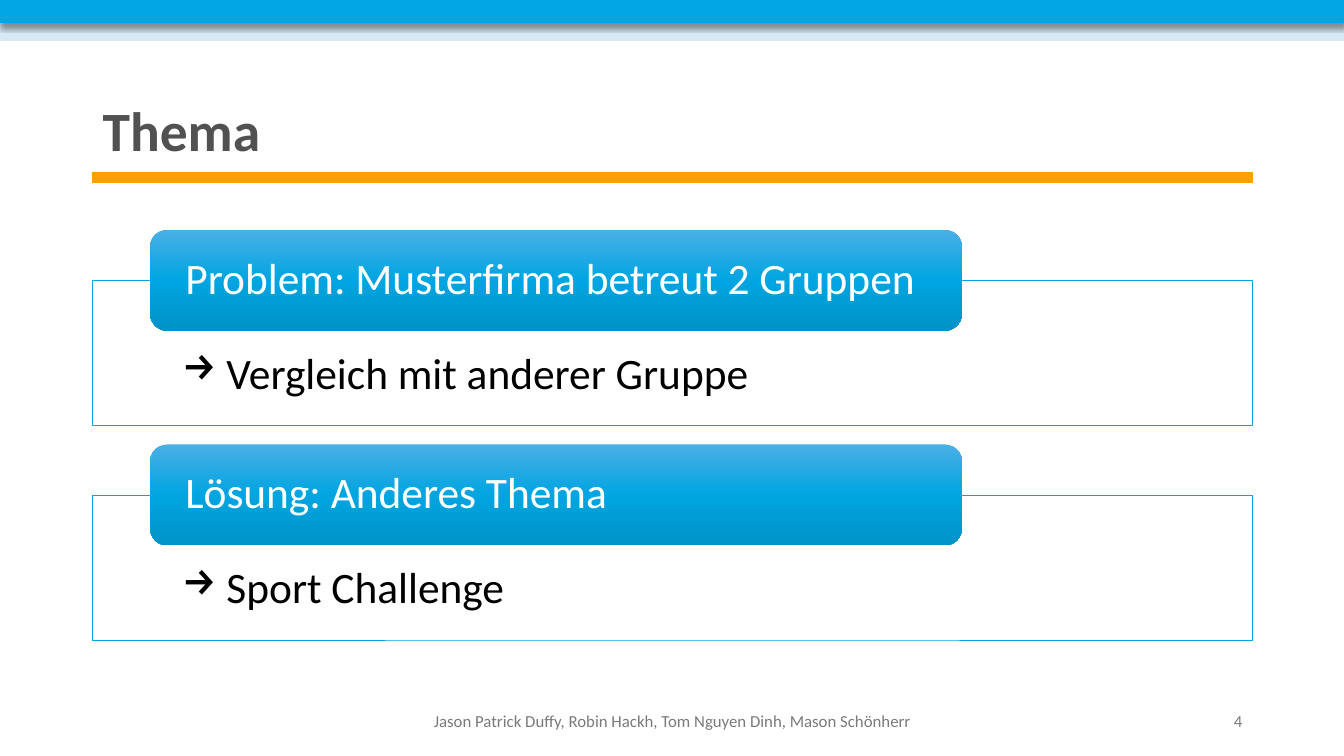
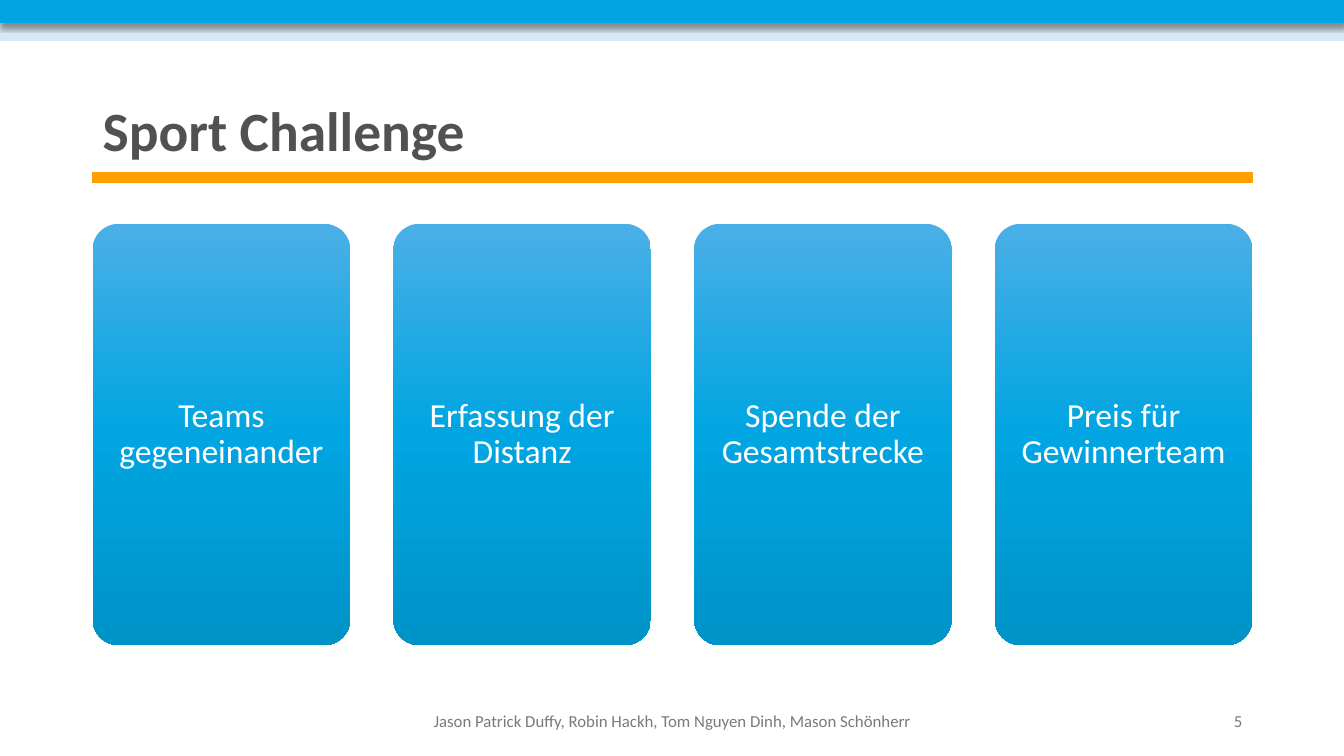
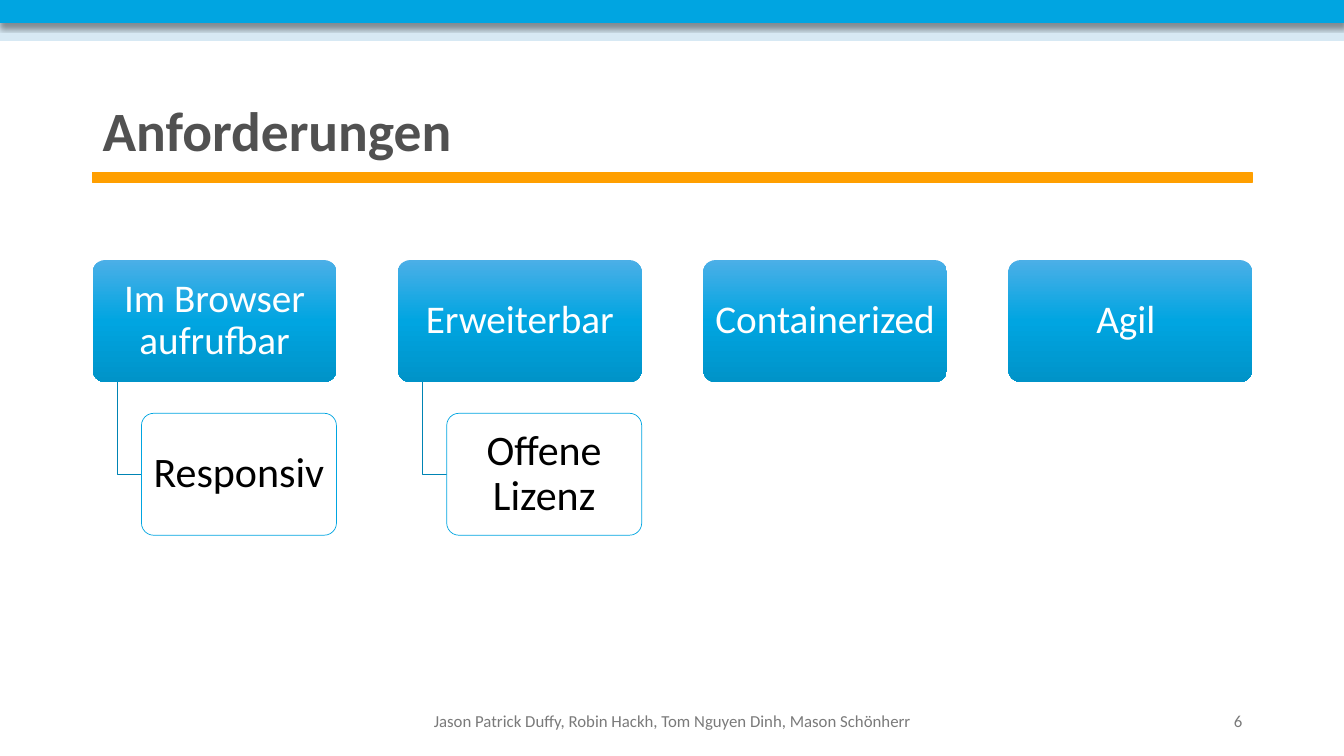
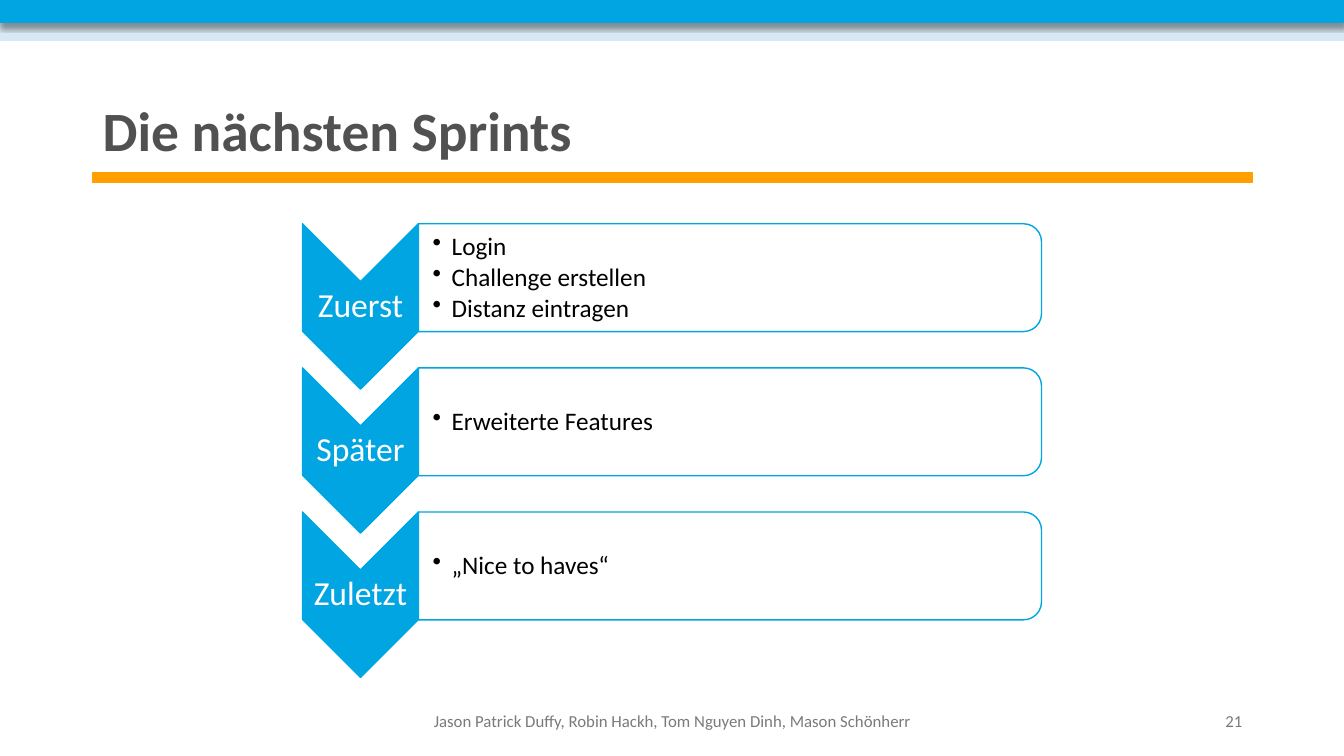
"""Build four project slides: topic, sport challenge, requirements and next sprints."""
from copy import deepcopy
from dataclasses import dataclass

from lxml import etree
from pptx import Presentation
from pptx import util as u
from pptx.dml import color
from pptx.enum import shapes, text
from pptx.oxml import ns

KIND = shapes.MSO_SHAPE
ALIGN = text.PP_ALIGN
ANCHOR = text.MSO_ANCHOR


@dataclass(frozen=True)
class Theme:
    font: str = "Calibri"
    blue: str = "00A5E1"
    edge: str = "0084B4"
    pale: str = "D7E9F4"
    orange: str = "FF9F00"
    heading: str = "515151"
    muted: str = "7A7A7A"
    black: str = "000000"
    white: str = "FFFFFF"
    gradient: tuple = ("4BAFE7", "00A5E1", "0093C8")
    title_size: float = 39.6
    footer_size: float = 12
    topic_size: float = 31
    child_size: float = 30
    parent_size: float = 28
    card_size: float = 24
    list_size: float = 18


THEME = Theme()
WIDTH, HEIGHT = 13.33, 7.5
MARGIN, CONTENT = 0.92, 11.5
AUTHORS = "Jason Patrick Duffy, Robin Hackh, Tom Nguyen Dinh, Mason Schönherr"


def columns(count, gap):
    width = (CONTENT - (count - 1) * gap) / count
    return [MARGIN + i * (width + gap) for i in range(count)], width


def inches(box):
    return [u.Inches(length) for length in box]


def rgb(value):
    return color.RGBColor.from_string(value)


def add_xml(parent, tag, **attributes):
    return etree.SubElement(parent, ns.qn(tag), attributes)


def outline(shape, hue, width):
    shape.line.color.rgb = rgb(hue)
    shape.line.width = u.Pt(width)


def add_block(slide, kind, box, fill, line_width=1, line=None, turned=False):
    left, top, width, height = box
    if turned:
        left, top = left + (width - height) / 2, top + (height - width) / 2
        width, height = height, width
    block = slide.shapes.add_shape(kind, *inches((left, top, width, height)))
    block.rotation = 90 if turned else 0
    block.shadow.inherit = False
    block.fill.solid()
    block.fill.fore_color.rgb = rgb(fill)
    outline(block, line or fill, line_width)
    return block


def add_panel(slide, kind, box, line_width=0.5, turned=False):
    panel = add_block(slide, kind, box, THEME.white, line_width, THEME.blue, turned)
    white = panel.element.spPr.find(".//" + ns.qn("a:srgbClr"))
    add_xml(white, "a:alpha", val="90000")
    return panel


def add_gradient_card(slide, box, corner=0.1):
    card = add_block(slide, KIND.ROUNDED_RECTANGLE, box, THEME.blue)
    card.adjustments[0] = corner
    card.line.fill.background()
    card.fill.gradient()
    card.fill.gradient_angle = 270
    stops = card.element.spPr.find(".//" + ns.qn("a:gsLst"))
    stops.append(deepcopy(stops[0]))
    for i, (stop, hue) in enumerate(zip(card.fill.gradient_stops, THEME.gradient)):
        stop.position = i / 2
        stop.color.rgb = rgb(hue)
    return card


def write(shape, lines, size, hue, align=ALIGN.LEFT, insets=(0.1, 0.05, 0.1, 0.05),
          anchor=ANCHOR.MIDDLE, bold=False, bullet=None, indent=0, spacing=0.9, after=0):
    frame = shape.text_frame
    frame.word_wrap = True
    frame.vertical_anchor = anchor
    (frame.margin_left, frame.margin_top,
     frame.margin_right, frame.margin_bottom) = inches(insets)
    frame.text = "\n".join(lines)
    for paragraph in frame.paragraphs:
        paragraph.alignment = align
        paragraph.line_spacing = spacing
        paragraph.space_after = u.Pt(after)
        if bullet:
            properties = paragraph._p.get_or_add_pPr()
            properties.set("marL", str(u.Inches(indent)))
            properties.set("indent", str(-u.Inches(indent)))
            add_xml(properties, "a:buChar", char=bullet)
        for run in paragraph.runs:
            run.font.name = THEME.font
            run.font.size = u.Pt(size)
            run.font.bold = bold
            run.font.color.rgb = rgb(hue)


def add_label(slide, box, lines, size, hue, **style):
    write(slide.shapes.add_textbox(*inches(box)), lines, size, hue, **style)


def add_elbow(slide, left, top, width, height):
    outline_path = slide.shapes.build_freeform(u.Inches(left), u.Inches(top))
    corner, end = (left, top + height), (left + width, top + height)
    outline_path.add_line_segments([inches(corner), inches(end)], close=False)
    elbow = outline_path.convert_to_shape()
    elbow.shadow.inherit = False
    elbow.fill.background()
    outline(elbow, THEME.edge, 0.5)


def add_page(deck, title, number):
    slide = deck.slides.add_slide(deck.slide_layouts[6])
    add_block(slide, KIND.RECTANGLE, (-0.1, 0.16, WIDTH + 0.24, 0.24), THEME.pale)
    band = add_block(slide, KIND.RECTANGLE, (0, -0.01, WIDTH, 0.23), THEME.blue)
    effects = band.element.spPr.find(ns.qn("a:effectLst"))
    shadow = add_xml(effects, "a:outerShdw", blurRad=str(u.Pt(4)), dist=str(u.Pt(3)),
                     dir="5400000", algn="t", rotWithShape="0")
    add_xml(add_xml(shadow, "a:srgbClr", val=THEME.black), "a:alpha", val="40000")
    add_block(slide, KIND.RECTANGLE, (MARGIN, 1.71, CONTENT, 0.1), THEME.orange)
    add_label(slide, (MARGIN, 0.98, CONTENT, 0.69), [title],
              THEME.title_size, THEME.heading, bold=True)
    for left, width, words, align in ((3.92, 5.5, AUTHORS, ALIGN.CENTER),
                                      (9.42, 3, str(number), ALIGN.RIGHT)):
        add_label(slide, (left, 6.95, width, 0.4), [words],
                  THEME.footer_size, THEME.muted, align=align, spacing=1)
    return slide


def add_topics(slide, topics):
    for row, (heading, answer) in enumerate(topics):
        top = 2.28 + row * 2.13
        panel = add_panel(slide, KIND.RECTANGLE, (MARGIN, top + 0.5, CONTENT, 1.44))
        write(panel, [answer], THEME.topic_size, THEME.black, anchor=ANCHOR.TOP,
              insets=(0.89, 0.71, 0.89, 0.24), bullet="→", indent=0.31)
        bar = add_gradient_card(slide, (MARGIN + 0.57, top, 0.7 * CONTENT, 1), 1 / 6)
        write(bar, [heading], THEME.topic_size, THEME.white, insets=(0.3, 0, 0.3, 0))


def add_cards(slide, captions):
    lefts, width = columns(len(captions), 0.43)
    for left, caption in zip(lefts, captions):
        card = add_gradient_card(slide, (left, 2.22, width, 4.18))
        write(card, [caption], THEME.card_size, THEME.white, ALIGN.CENTER, (0.1,) * 4)


def add_requirements(slide, requirements):
    lefts, width = columns(len(requirements), 0.61)
    top, height, gap = 2.58, 1.21, 0.31
    step = width / 10
    insets = (0.06, 0.04, 0.06, 0.04)
    for left, (parent, child) in zip(lefts, requirements):
        card = add_gradient_card(slide, (left, top, width, height))
        write(card, [parent], THEME.parent_size, THEME.white, ALIGN.CENTER, insets)
        if child:
            add_elbow(slide, left + step, top + height, step, gap + height / 2)
            box = (left + 2 * step, top + height + gap, width - 2 * step, height)
            panel = add_panel(slide, KIND.ROUNDED_RECTANGLE, box)
            panel.adjustments[0] = 0.1
            write(panel, [child], THEME.child_size, THEME.black, ALIGN.CENTER, insets)


def add_sprints(slide, sprints):
    left, width, height = 3, 1.15, 1.64
    for row, (phase, tasks) in enumerate(sprints):
        top = 2.22 + row * 1.43
        add_block(slide, KIND.CHEVRON, (left, top, width, height), THEME.blue, turned=True)
        add_label(slide, (left, top + width / 2, width, height - width), [phase],
                  THEME.card_size, THEME.white, align=ALIGN.CENTER, insets=(0.02,) * 4)
        add_panel(slide, KIND.ROUND_2_SAME_RECTANGLE, (left + width, top, 6.18, 1.07),
                  line_width=1, turned=True)
        add_label(slide, (left + width, top + 0.06, 6.13, 0.96), tasks,
                  THEME.list_size, THEME.black, insets=(0.14, 0.01, 0.01, 0.01),
                  bullet="•", indent=0.19, after=2.5)


def main():
    deck = Presentation()
    deck.slide_width, deck.slide_height = inches((WIDTH, HEIGHT))
    add_topics(add_page(deck, "Thema", 4), [
        ("Problem: Musterfirma betreut 2 Gruppen", " Vergleich mit anderer Gruppe"),
        ("Lösung: Anderes Thema", " Sport Challenge"),
    ])
    add_cards(add_page(deck, "Sport Challenge", 5), [
        "Teams gegeneinander", "Erfassung der Distanz",
        "Spende der Gesamtstrecke", "Preis für Gewinnerteam",
    ])
    add_requirements(add_page(deck, "Anforderungen", 6), [
        ("Im Browser aufrufbar", "Responsiv"), ("Erweiterbar", "Offene Lizenz"),
        ("Containerized", None), ("Agil ", None),
    ])
    add_sprints(add_page(deck, "Die nächsten Sprints", 21), [
        ("Zuerst", ["Login", "Challenge erstellen", "Distanz eintragen"]),
        ("Später", ["Erweiterte Features"]),
        ("Zuletzt", ["„Nice to haves“"]),
    ])
    deck.save("out.pptx")


if __name__ == "__main__":
    main()
